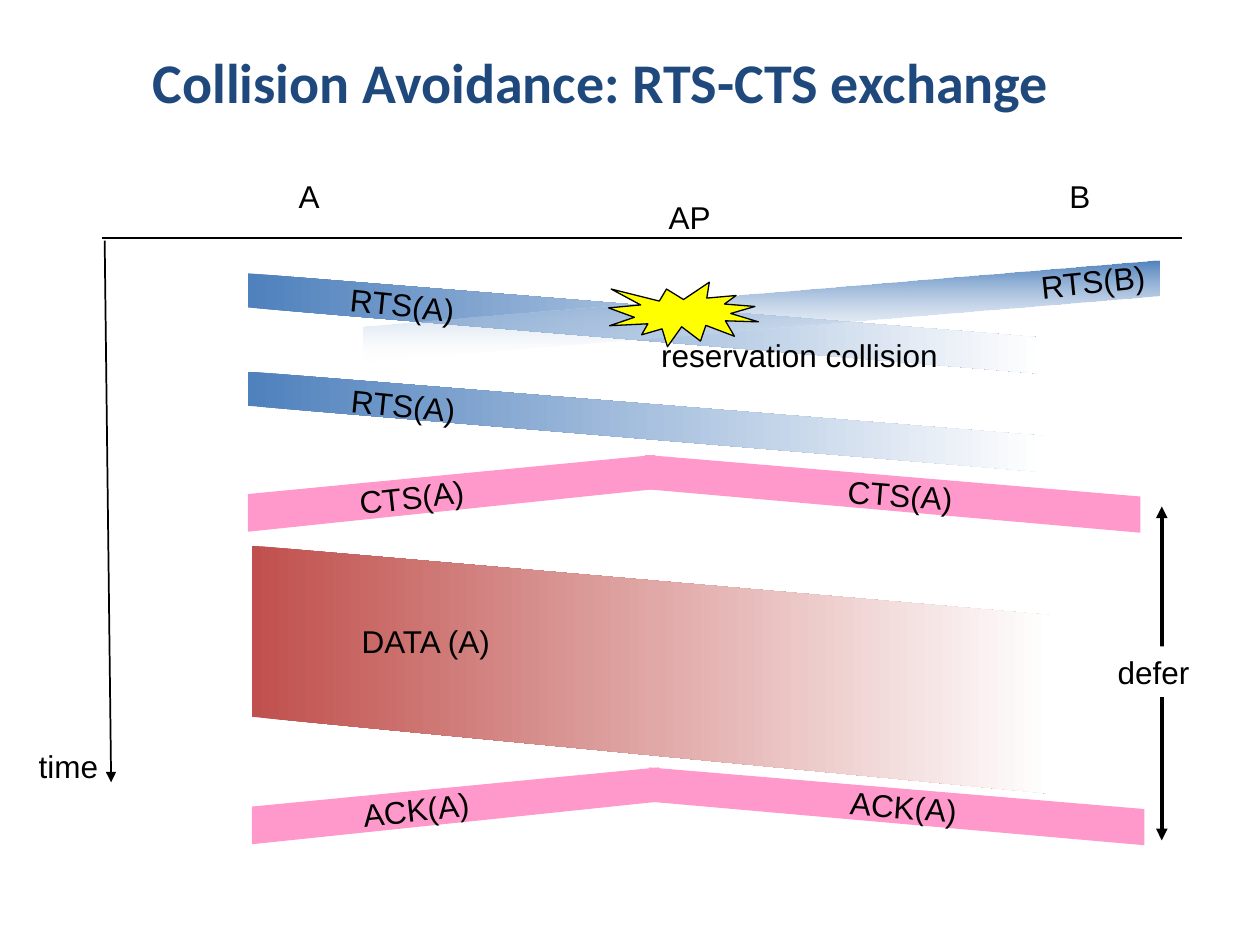
from lxml import etree
from pptx import Presentation, util as u
from pptx.dml.color import RGBColor
from pptx.enum import shapes, text
from pptx.oxml.ns import qn

# Content: all lengths in centimetres
TITLE = "Collision Avoidance: RTS-CTS exchange"
BLUE, RED, PINK, BLACK, WHITE = "4F81BD", "C0504D", "FF99CC", "000000", "FFFFFF"
RETRY_DROP = 1.98          # second RTS below the first
ACK_SHIFT = (0.08, 6.3)    # ACK bands relative to CTS bands

# Band edges: (x, top, bottom) at the left and at the right
RTS_A = ((5, 5.51, 6.2), (21.06, 6.81, 7.54))
RTS_B = ((7.32, 6.58, 7.29), (23.37, 5.26, 5.97))
DATA = ((5.08, 11, 14.45), (21.18, 12.4, 16))
CTS = [((13, 9.17, 9.86), (22.99, 10.01, 10.74)),
       ((5, 9.96, 10.72), (13.21, 9.17, 9.86))]

# start x, start y, end x, end y, width in points, arrowheads
LINES = [
    (2.11, 4.85, 2.24, 15.77, 1, ["tailEnd"]),
    (2.06, 4.8, 23.83, 4.8, 0.75, []),
    (23.42, 10.21, 23.42, 16.94, 2.25, ["headEnd", "tailEnd"]),
]

# text, left, top, width, rotation
LABELS = [
    ("AP", 13.23, 3.86, 1.37, 0),
    ("A", 5.77, 3.45, 0.97, 0),
    ("B", 21.31, 3.45, 0.94, 0),
    ("time", 0.53, 14.94, 1.73, 0),
    ("RTS(A)", 6.81, 5.64, 2.72, 5.9),
    ("RTS(B)", 20.73, 5.16, 2.64, 354.1),
    ("reservation collision", 13.08, 6.65, 7.85, 0),
    ("RTS(A)", 6.83, 7.67, 2.72, 5.9),
    ("CTS(A)", 6.99, 9.5, 2.69, 353.7),
    ("CTS(A)", 16.84, 9.47, 2.69, 4.6),
    ("DATA (A)", 7.04, 12.42, 5, 0),
    ("ACK(A)", 7.06, 15.8, 2.67, 353.7),
    ("ACK(A)", 16.89, 15.75, 2.67, 4.6),
]
DEFER = ("defer", 22.28, 13.03, 1.98, 0)

presentation = Presentation()
presentation.slide_width, presentation.slide_height = u.Cm(25.4), u.Cm(19.05)
slide = presentation.slides.add_slide(presentation.slide_layouts[6])


def color(value):
    return RGBColor.from_string(value)


def paint(shape, fill):
    shape.shadow.inherit = False
    shape.fill.solid()
    shape.fill.fore_color.rgb = color(fill)


def shifted(band, dx, dy):
    return [(x + dx, top + dy, bottom + dy) for x, top, bottom in band]


def add_band(band, fill):
    (left, left_top, left_bottom), (right, right_top, right_bottom) = band
    corners = [(left, left_top), (right, right_top),
               (right, right_bottom), (left, left_bottom)]
    points = [(u.Cm(x), u.Cm(y)) for x, y in corners]
    builder = slide.shapes.build_freeform(*points[0])
    builder.add_line_segments(points[1:], close=True)
    shape = builder.convert_to_shape()
    paint(shape, fill)
    shape.line.fill.background()
    return shape


def add_fading_band(band, fill, angle=0, end_opacity=None):
    shape = add_band(band, fill)
    shape.fill.gradient()
    shape.fill.gradient_angle = angle
    for stop, value, position in zip(shape.fill.gradient_stops, (fill, WHITE), (0, 1)):
        stop.color.rgb = color(value)
        stop.position = position
    if end_opacity is not None:
        end_color = list(shape._element.spPr.iter(qn("a:srgbClr")))[-1]
        etree.SubElement(end_color, qn("a:alpha"), val=str(end_opacity * 1000))


def add_line(x1, y1, x2, y2, width, arrowheads):
    line = slide.shapes.add_connector(
        shapes.MSO_CONNECTOR.STRAIGHT, u.Cm(x1), u.Cm(y1), u.Cm(x2), u.Cm(y2))
    line.line.color.rgb = color(BLACK)
    line.line.width = u.Pt(width)
    for end in arrowheads:
        etree.SubElement(line.line._get_or_add_ln(), qn("a:" + end), type="triangle")
    etree.SubElement(line._element.spPr, qn("a:effectLst"))


def add_text(wording, left, top, width, rotation, height=1.02,
             font="Arial", size=18, value=BLACK):
    box = slide.shapes.add_textbox(u.Cm(left), u.Cm(top), u.Cm(width), u.Cm(height))
    box.rotation = rotation
    box.text_frame.word_wrap = False
    box.text_frame.text = wording
    run_font = box.text_frame.paragraphs[0].runs[0].font
    run_font.name, run_font.size = font, u.Pt(size)
    run_font.color.rgb = color(value)
    return box


# Title
title = add_text(TITLE, 1.32, 0.33, 21.59, 0, 2.62, "Calibri", 32, "1F497D")
title.text_frame.word_wrap = True
title.text_frame.vertical_anchor = text.MSO_ANCHOR.MIDDLE
title.text_frame.paragraphs[0].alignment = text.PP_ALIGN.CENTER
title.text_frame.paragraphs[0].runs[0].font.bold = True

# Axes and defer arrow
for line in LINES:
    add_line(*line)

# Frames sent over time
add_fading_band(RTS_A, BLUE)
add_fading_band(RTS_B, BLUE, angle=270, end_opacity=6)
add_fading_band(shifted(RTS_A, 0, RETRY_DROP), BLUE)
for band in CTS:
    add_band(band, PINK)
add_fading_band(DATA, RED)
for band in CTS:
    add_band(shifted(band, *ACK_SHIFT), PINK)

# Collision burst
burst = slide.shapes.add_shape(
    shapes.MSO_SHAPE.EXPLOSION1, u.Cm(12.27), u.Cm(5.69), u.Cm(3.02), u.Cm(1.3))
paint(burst, "FFFF00")
burst.line.color.rgb = color(BLACK)
burst.line.width = u.Pt(0.75)

# Labels
for label in LABELS:
    add_text(*label)
paint(add_text(*DEFER), WHITE)

presentation.save("out.pptx")
